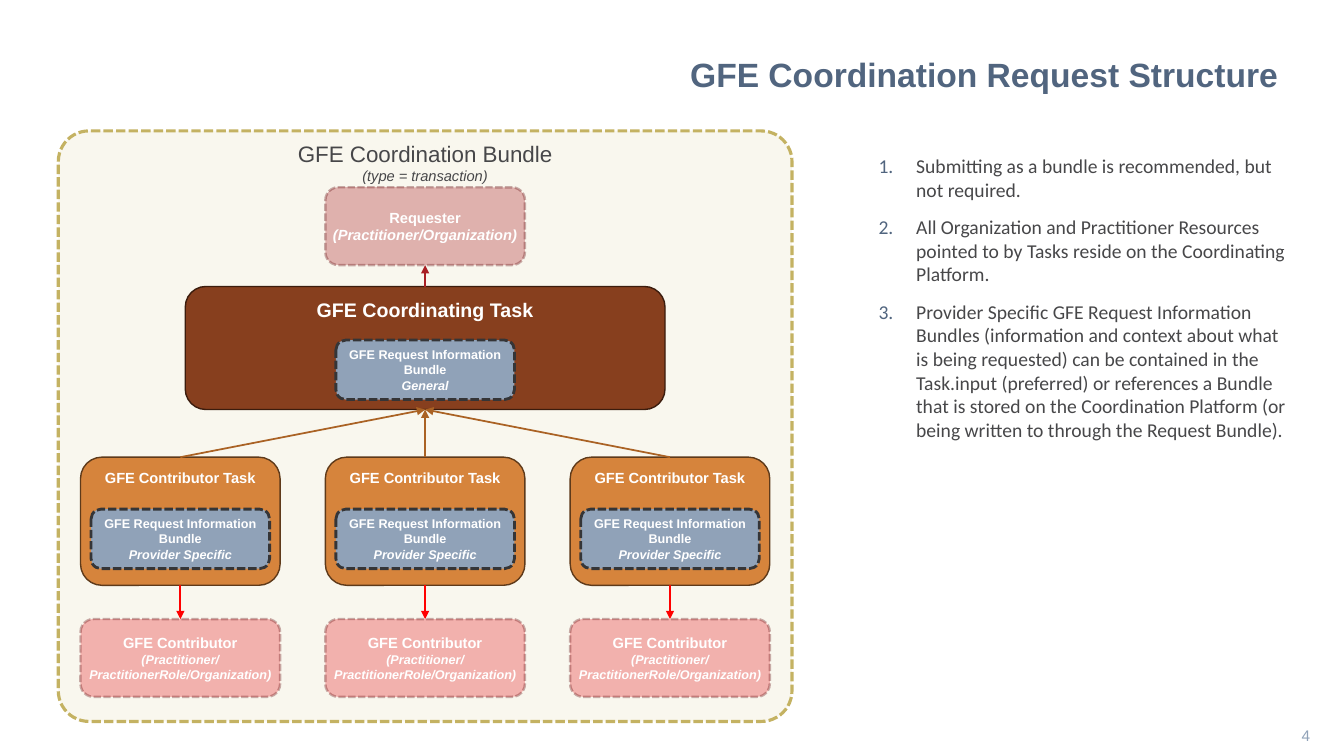
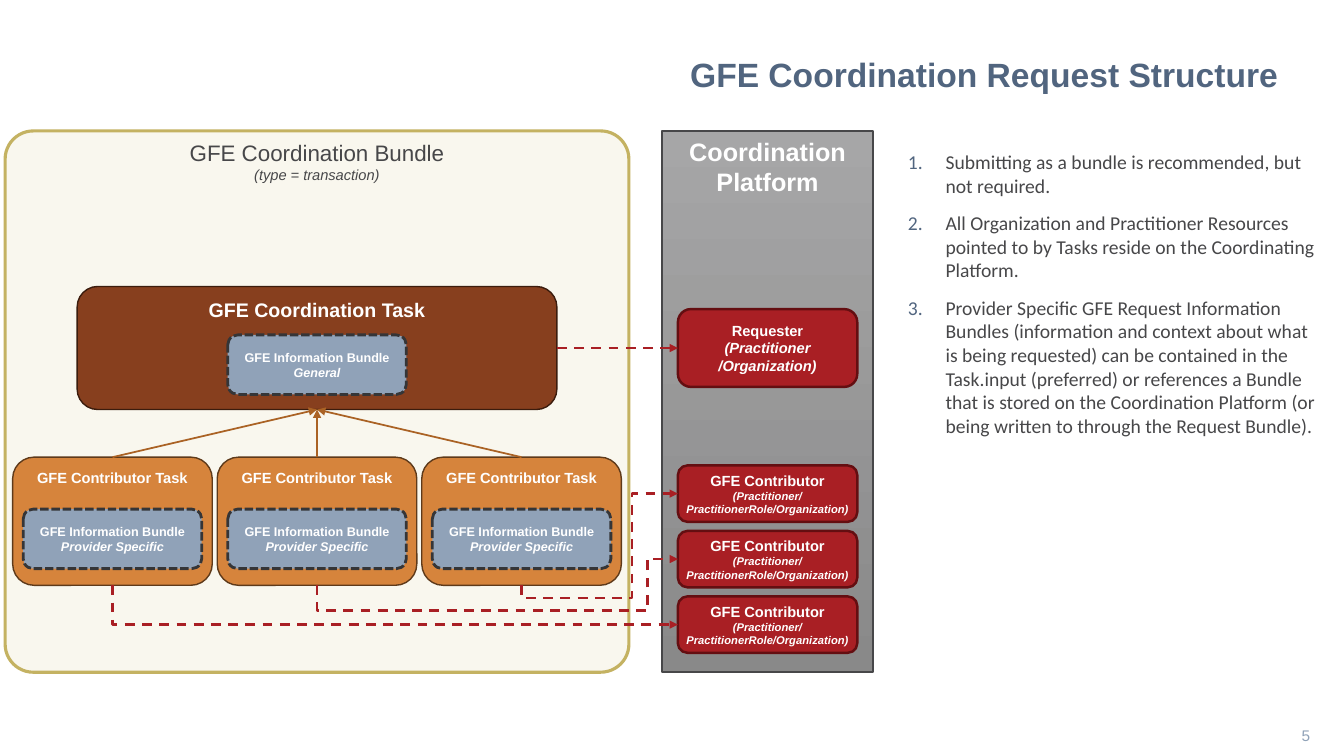
from dataclasses import dataclass

from lxml.etree import SubElement
from pptx import Presentation
from pptx.dml.color import RGBColor
from pptx.enum.dml import MSO_LINE as Dash
from pptx.enum.shapes import MSO_CONNECTOR as Link, MSO_SHAPE as Shape
from pptx.enum.text import MSO_ANCHOR as Anchor, PP_ALIGN as Align
from pptx.oxml.ns import qn
from pptx.util import Cm, Pt


@dataclass(frozen=True)
class Theme:
    heading_font: str = "Arial"
    remark_font: str = "Calibri"
    title: str = "51657F"
    page_number: str = "90A2B8"
    text: str = "474749"
    light_text: str = "FFFFFF"
    platform_top: str = "A6A6A7"
    platform_bottom: str = "898989"
    task_arrow: str = "AA6224"
    actor_arrow: str = "A91F24"
    contributor_arrow: str = "FF0000"
    title_size: float = 24
    platform_size: float = 18
    bundle_size: float = 16
    task_size: float = 14
    remark_size: float = 14
    number_size: float = 11
    label_size: float = 10.5
    detail_size: float = 9
    small_size: float = 8


@dataclass(frozen=True)
class Look:
    fill: str
    line: str
    width: float
    dash: Dash = Dash.SOLID
    opacity: int = 100


@dataclass(frozen=True)
class Box:
    """A rectangle in centimetres."""
    left: float
    top: float
    width: float
    height: float

    def centred(self, top, width, height):
        """Box of the given size, centred across this one, top below its top."""
        return Box(self.left + (self.width - width) / 2, self.top + top, width, height)

    def columns(self, count, margin, top, width, height):
        """Equally spaced boxes between the side margins."""
        step = (self.width - 2 * margin - width) / (count - 1)
        return [Box(self.left + margin + i * step, self.top + top, width, height)
                for i in range(count)]

    def lengths(self):
        return [Cm(value) for value in (self.left, self.top, self.width, self.height)]


THEME = Theme()
BUNDLE = Look("F9F7EE", "C4B262", 2.25)
DASHED_BUNDLE = Look("F9F7EE", "C4B262", 2.25, Dash.SQUARE_DOT)
COORDINATING = Look("873F1E", "3B1C0D", 1)
CONTRIBUTING = Look("D6843C", "5E3A1A", 1)
INFORMATION = Look("90A2B8", "353537", 2, Dash.SQUARE_DOT)
ACTOR = Look("A91F24", "640E11", 1.75)
FADED_REQUESTER = Look("A91F24", "640E11", 1.75, Dash.SQUARE_DOT, 32)
FADED_CONTRIBUTOR = Look("E41F26", "640E11", 1.75, Dash.SQUARE_DOT, 32)

TOP, LEFT, BOTTOM, RIGHT = range(4)  # connection sites
TITLE = "GFE Coordination Request Structure"
CONTRIBUTOR_ROLES = "(Practitioner/ PractitionerRole/Organization)"
REMARKS = [
    "Submitting as a bundle is recommended, but not required.",
    "All Organization and Practitioner Resources pointed to by Tasks reside on the "
    "Coordinating Platform.",
    "Provider Specific GFE Request Information Bundles (information and context about "
    "what is being requested) can be contained in the Task.input (preferred) or "
    "references a Bundle that is stored on the Coordination Platform (or being written "
    "to through the Request Bundle).",
]


def rgb(color):
    return RGBColor.from_string(color)


def style_font(font, size, color, name=THEME.heading_font, bold=False, italic=False):
    font.name, font.size, font.bold, font.italic = name, Pt(size), bold, italic
    font.color.rgb = rgb(color)


def set_insets(frame, side, top, bottom=0.13):
    frame.margin_left = frame.margin_right = Cm(side)
    frame.margin_top, frame.margin_bottom = Cm(top), Cm(bottom)


def write_caption(shape, lines, color=THEME.light_text, bold=True, anchor=Anchor.TOP):
    """Write (text, size) lines, centred; those after the first are italic."""
    frame = shape.text_frame
    frame.word_wrap, frame.vertical_anchor = True, anchor
    for index, (text, size) in enumerate(lines):
        para = frame.add_paragraph() if index else frame.paragraphs[0]
        para.text, para.alignment = text, Align.CENTER
        style_font(para.font, size, color, bold=bold, italic=index > 0)


def add_panel(page, kind, box, look):
    shape = page.shapes.add_shape(kind, *box.lengths())
    shape.shadow.inherit = False
    shape.fill.solid()
    shape.fill.fore_color.rgb = rgb(look.fill)
    shape.line.color.rgb = rgb(look.line)
    shape.line.width, shape.line.dash_style = Pt(look.width), look.dash
    if look.opacity < 100:
        for color in list(shape.element.spPr.iter(qn("a:srgbClr"))):
            SubElement(color, qn("a:alpha"), val=str(look.opacity * 1000))
    return shape


def add_node(page, box, look, lines, anchor=Anchor.MIDDLE):
    node = add_panel(page, Shape.FLOWCHART_ALTERNATE_PROCESS, box, look)
    set_insets(node.text_frame, 0, 0.13)
    write_caption(node, lines, anchor=anchor)
    return node


def add_task(page, box, look, title, size, info, scope, gap):
    """Task with an information bundle inside, gap above its lower edge."""
    task = add_node(page, box, look, [(title, size)], Anchor.TOP)
    width, height = 4.5, 1.5
    add_node(page, box.centred(box.height - height - gap, width, height), INFORMATION,
             [(info, THEME.detail_size), (scope, THEME.detail_size)])
    return task


def add_arrow(page, source, source_site, target, target_site, color,
              width=1.25, dash=Dash.SOLID, kind=Link.STRAIGHT):
    arrow = page.shapes.add_connector(kind, 0, 0, 0, 0)
    arrow.begin_connect(source, source_site)
    arrow.end_connect(target, target_site)
    arrow.line.color.rgb = rgb(color)
    arrow.line.width, arrow.line.dash_style = Pt(width), dash
    properties = arrow.element.spPr
    SubElement(properties.find(qn("a:ln")), qn("a:tailEnd"), type="triangle")
    SubElement(properties, qn("a:effectLst"))
    return arrow


def add_elbow(page, source, target, lane=None):
    """Dashed route from the bottom of source to the left of target.

    A lane (x, y) makes it turn below the source, then rise at x.
    """
    arrow = add_arrow(page, source, BOTTOM, target, LEFT, THEME.actor_arrow,
                      1.75, Dash.DASH, Link.ELBOW)
    start_x, start_y = source.left + source.width // 2, source.top + source.height
    end_x, end_y = target.left, target.top + target.height // 2
    across, rise = end_x - start_x, abs(end_y - start_y)
    arrow.left = (start_x + end_x - rise) // 2
    arrow.top = (start_y + end_y - across) // 2
    arrow.width, arrow.height = rise, across

    frame = arrow.element.spPr.find(qn("a:xfrm"))
    frame.set("rot", str((90 if lane else 270) * 60000))
    frame.set("flipH", "1")
    frame.set("flipV", "1" if lane else "0")
    geometry = arrow.element.spPr.find(qn("a:prstGeom"))
    geometry.set("prst", "bentConnector4" if lane else "bentConnector2")
    if lane:
        guides = geometry.find(qn("a:avLst"))
        if guides is None:
            guides = SubElement(geometry, qn("a:avLst"))
        lane_x, lane_y = lane
        turns = (start_y - lane_y) / rise, (lane_x - start_x) / across
        for number, turn in enumerate(turns, 1):
            SubElement(guides, qn("a:gd"), name=f"adj{number}",
                       fmla=f"val {round(turn * 100000)}")


def add_line_of_text(page, box, text, size, color, bold=False, anchor=Anchor.TOP):
    frame = page.shapes.add_textbox(*box.lengths()).text_frame
    frame.word_wrap, frame.vertical_anchor = True, anchor
    para = frame.paragraphs[0]
    para.text, para.alignment = text, Align.RIGHT
    style_font(para.font, size, color, bold=bold)
    return para


def add_page(deck, number):
    """Blank page with the shared title and page number."""
    page = deck.slides.add_slide(deck.slide_layouts[6])
    title = add_line_of_text(page, Box(14.88, 1.35, 17.58, 1.02), TITLE,
                             THEME.title_size, THEME.title, bold=True)
    title.line_spacing, title.space_before = 0.9, Pt(10)
    add_line_of_text(page, Box(25.65, 18.03, 7.62, 1.02), str(number),
                     THEME.number_size, THEME.page_number, anchor=Anchor.MIDDLE)
    return page


def add_remarks(page, box):
    """Numbered remarks beside the diagram."""
    frame = page.shapes.add_textbox(*box.lengths()).text_frame
    frame.word_wrap = True
    for index, remark in enumerate(REMARKS):
        para = frame.add_paragraph() if index else frame.paragraphs[0]
        para.text, para.space_before = remark, Pt(10)
        style_font(para.font, THEME.remark_size, THEME.text, THEME.remark_font)
        properties = para._p.get_or_add_pPr()
        indent = Cm(0.95)
        properties.set("marL", str(indent))
        properties.set("indent", str(-indent))
        bullet_color = SubElement(properties, qn("a:buClr"))
        SubElement(bullet_color, qn("a:srgbClr"), val=THEME.title)
        SubElement(properties, qn("a:buAutoNum"), type="arabicPeriod")
        properties.append(properties.find(qn("a:defRPr")))  # must come last


def add_bundle(page, box, look, margin, task_title, info, task_gap):
    """Bundle with its tasks; returns the main task and the contributor tasks."""
    bundle = add_panel(page, Shape.ROUNDED_RECTANGLE, box, look)
    bundle.adjustments[0] = 0.052
    set_insets(bundle.text_frame, 0.25, 0)
    write_caption(bundle, [("GFE Coordination Bundle", THEME.bundle_size),
                           ("(type = transaction)", THEME.label_size)],
                  THEME.text, bold=False)
    main_task = add_task(page, box.centred(3.92, 12.09, 3.1), COORDINATING, task_title,
                         THEME.task_size, info, "General", task_gap)
    tasks = [add_task(page, place, CONTRIBUTING, "GFE Contributor Task",
                      THEME.label_size, info, "Provider Specific", 0.42)
             for place in box.columns(3, margin, 8.22, 5.03, 3.23)]
    for task in tasks:
        add_arrow(page, task, TOP, main_task, BOTTOM, THEME.task_arrow)
    return main_task, tasks


def add_requester(page, box, look, roles):
    return add_node(page, box, look,
                    [("Requester", THEME.label_size), (roles, THEME.label_size)])


def add_contributor(page, box, look, size):
    return add_node(page, box, look,
                    [("GFE Contributor", THEME.label_size), (CONTRIBUTOR_ROLES, size)])


def add_platform(page, box):
    """Platform column; returns its requester and contributors, top down."""
    platform = add_panel(page, Shape.RECTANGLE, box,
                         Look(THEME.platform_top, THEME.text, 1.75))
    platform.fill.gradient()
    platform.fill.gradient_angle = 270
    shades = THEME.platform_top, THEME.platform_bottom
    for stop, shade in zip(platform.fill.gradient_stops, shades):
        stop.color.rgb = rgb(shade)
    write_caption(platform, [("Coordination Platform", THEME.platform_size)])
    width = 4.52
    requester = add_requester(page, box.centred(4.49, width, 1.96), ACTOR,
                              "(Practitioner /Organization)")
    contributors = [add_contributor(page, box.centred(8.43 + 1.65 * row, width, 1.42),
                                    ACTOR, THEME.small_size) for row in range(3)]
    return requester, contributors


def build_bundled_page(deck):
    """Everyone involved travels inside the bundle."""
    page = add_page(deck, 4)
    box, margin = Box(1.47, 3.3, 18.49, 14.88), 0.56
    main_task, tasks = add_bundle(page, box, DASHED_BUNDLE, margin,
                                  "GFE Coordinating Task",
                                  "GFE Request Information Bundle", 0.25)
    requester = add_requester(page, box.centred(1.42, 5.03, 1.96), FADED_REQUESTER,
                              "(Practitioner/Organization)")
    add_arrow(page, main_task, TOP, requester, BOTTOM, THEME.actor_arrow)
    for task, place in zip(tasks, box.columns(3, margin, 12.3, 5.03, 1.96)):
        contributor = add_contributor(page, place, FADED_CONTRIBUTOR, THEME.detail_size)
        add_arrow(page, task, BOTTOM, contributor, TOP, THEME.contributor_arrow)
    add_remarks(page, Box(21.89, 3.76, 10.97, 14.88))


def build_platform_page(deck):
    """The bundle's tasks point to actors on the platform."""
    page = add_page(deck, 5)
    box = Box(0.13, 3.3, 15.72, 13.64)
    requester, contributors = add_platform(page, Box(16.69, 3.3, 5.31, 13.64))
    main_task, tasks = add_bundle(page, box, BUNDLE, 0.19, "GFE Coordination Task",
                                  "GFE Information Bundle", 0.38)
    add_arrow(page, main_task, RIGHT, requester, LEFT, THEME.actor_arrow, 1.75, Dash.DASH)
    first_task, *later_tasks = tasks
    *upper_contributors, last_contributor = contributors
    add_elbow(page, first_task, last_contributor)
    for row, (task, contributor) in enumerate(zip(reversed(later_tasks),
                                                  upper_contributors)):
        lane = (Cm(box.left + box.width + 0.08 + 0.38 * row),
                task.top + task.height + Cm(0.32 * (row + 1)))
        add_elbow(page, task, contributor, lane)
    add_remarks(page, Box(22.63, 3.66, 10.97, 14.88))


def main():
    deck = Presentation()
    deck.slide_width, deck.slide_height = Cm(33.87), Cm(19.05)
    build_bundled_page(deck)
    build_platform_page(deck)
    deck.save("out.pptx")


if __name__ == "__main__":
    main()
